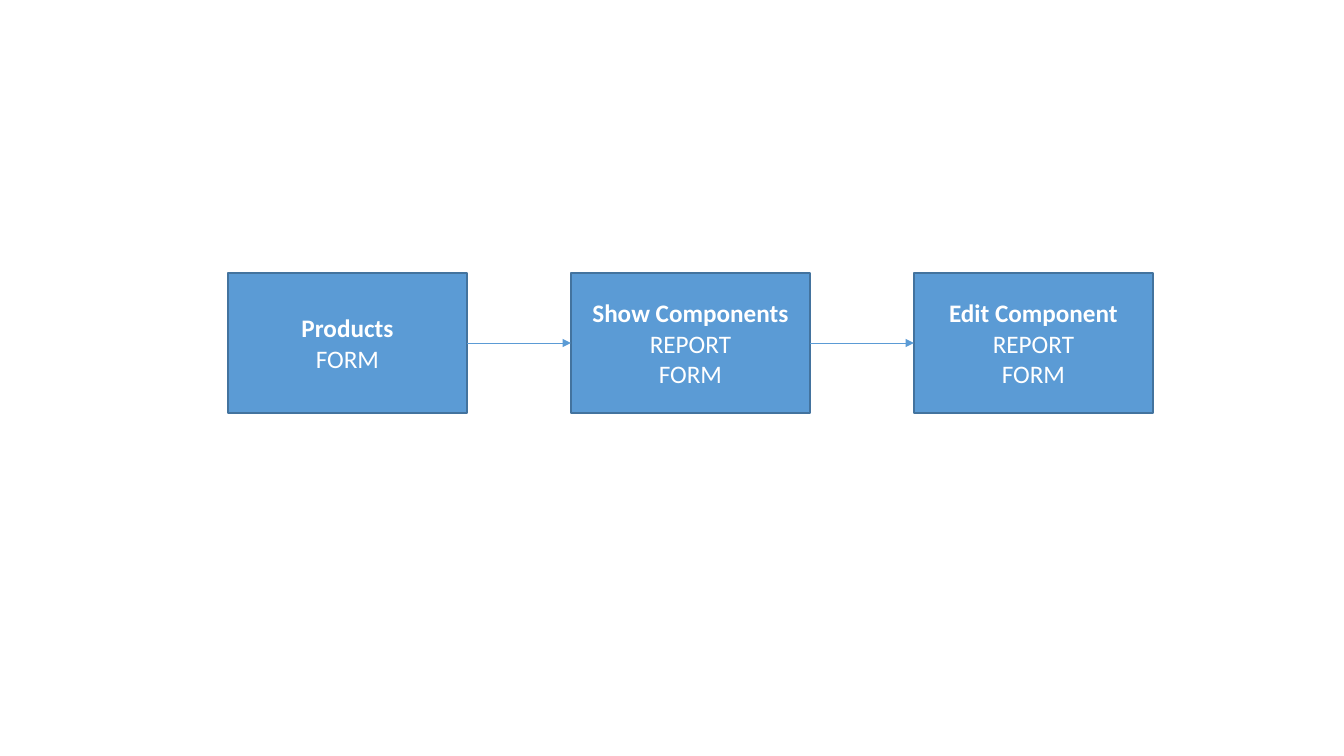
from lxml import etree
from pptx import Presentation, util as u
from pptx.dml.color import RGBColor
from pptx.enum import shapes, text
from pptx.oxml.ns import qn

PX = 914400 / 100.8
BLUE = RGBColor(0x5B, 0x9B, 0xD5)
EDGE = RGBColor(0x43, 0x73, 0x9E)
WHITE = RGBColor(0xFF, 0xFF, 0xFF)
LEFT, TOP, WIDE, HIGH, STEP = 228, 273, 239, 140, 343
FONT = {"name": "Calibri", "size": u.Pt(18)}
PAGES = [
    ["Products", "FORM"],
    ["Show Components", "REPORT", "FORM"],
    ["Edit Component", "REPORT", "FORM"],
]


def px(*vals):
    return [u.Emu(round(v * PX)) for v in vals]


deck = Presentation()
deck.slide_width, deck.slide_height = px(1344, 756)
slide = deck.slides.add_slide(deck.slide_layouts[6])

boxes = []
for i, lines in enumerate(PAGES):
    box = slide.shapes.add_shape(
        shapes.MSO_SHAPE.RECTANGLE, *px(LEFT + i * STEP, TOP, WIDE, HIGH))
    box.shadow.inherit = False
    box.fill.solid()
    box.fill.fore_color.rgb = BLUE
    box.line.color.rgb = EDGE
    box.line.width = u.Pt(1)
    frame = box.text_frame
    frame.word_wrap = True
    frame.vertical_anchor = text.MSO_ANCHOR.MIDDLE
    frame.text = "\n".join(lines)
    for j, para in enumerate(frame.paragraphs):
        para.alignment = text.PP_ALIGN.CENTER
        font = para.runs[0].font
        for key, val in FONT.items():
            setattr(font, key, val)
        font.bold = j == 0
        font.color.rgb = WHITE
    boxes.append(box)

for start, end in zip(boxes, boxes[1:]):
    arrow = slide.shapes.add_connector(shapes.MSO_CONNECTOR.STRAIGHT, 0, 0, 0, 0)
    arrow.begin_connect(start, 3)
    arrow.end_connect(end, 1)
    arrow.line.color.rgb = BLUE
    arrow.line.width = u.Pt(0.5)
    props = arrow.line._get_or_add_ln()
    etree.SubElement(props, qn("a:tailEnd"), type="triangle")
    etree.SubElement(arrow._element.spPr, qn("a:effectLst"))

deck.save("out.pptx")
